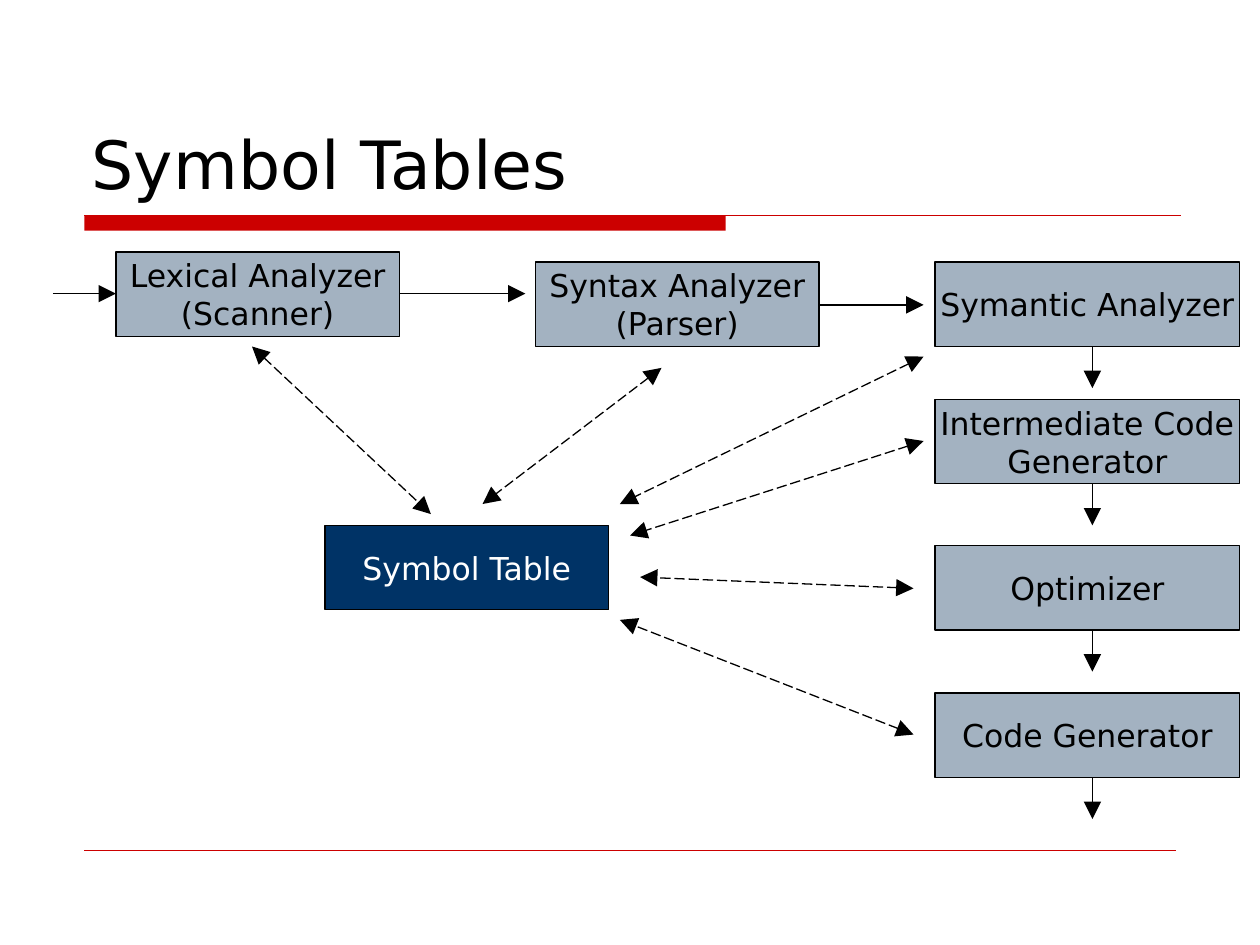
"""Build the Symbol Tables slide: compiler phases sharing one symbol table."""
from lxml.etree import SubElement
from pptx import Presentation
from pptx.dml.color import RGBColor
from pptx.enum.dml import MSO_LINE
from pptx.enum.shapes import MSO_CONNECTOR, MSO_SHAPE
from pptx.enum.text import MSO_ANCHOR, PP_ALIGN
from pptx.oxml.ns import qn
from pptx.util import Inches, Pt

TITLE = "Symbol Tables"
FONT = "DejaVu Sans"
BLACK, WHITE, RED, GREY, NAVY = "000000", "FFFFFF", "CC0000", "A3B2C1", "003366"
BOX_HEIGHT = 0.67
NARROW, WIDE = 2.25, 2.42
COLUMN_LEFT, COLUMN_ARROW, ARROW_LENGTH = 7.42, 8.67, 0.33

FRONT_PHASES = [
    (["Lexical Analyzer", "(Scanner)"], 0.92, 2),
    (["Syntax Analyzer", "(Parser)"], 4.25, 2.08),
]
COLUMN_PHASES = [
    (["Symantic Analyzer"], 2.08),
    (["Intermediate Code", "Generator"], 3.17),
    (["Optimizer"], 4.33),
    (["Code Generator"], 5.5),
]
SYMBOL_TABLE = (["Symbol Table"], 2.58, 4.17)
FLOW_ARROWS = [
    ((0.42, 2.33), (0.92, 2.33)),
    ((3.17, 2.33), (4.17, 2.33)),
    ((6.5, 2.42), (7.33, 2.42)),
]
LOOKUP_ARROWS = [
    ((2, 2.75), (3.42, 4.08)),
    ((5.25, 2.92), (3.83, 4)),
    ((7.33, 2.83), (4.92, 4)),
    ((7.33, 3.5), (5, 4.25)),
    ((7.25, 4.67), (5.08, 4.58)),
    ((7.25, 5.83), (4.92, 4.92)),
]


def color(hex_string):
    return RGBColor.from_string(hex_string)


def write_lines(shape, lines, size, hex_string, alignment, anchor, wrap):
    frame = shape.text_frame
    frame.word_wrap = wrap
    frame.vertical_anchor = anchor
    for index, line in enumerate(lines):
        paragraph = frame.add_paragraph() if index else frame.paragraphs[0]
        paragraph.alignment = alignment
        run = paragraph.add_run()
        run.text = line
        run.font.name = FONT
        run.font.size = Pt(size)
        run.font.color.rgb = color(hex_string)


def add_rectangle(slide, left, top, width, height, fill):
    shape = slide.shapes.add_shape(
        MSO_SHAPE.RECTANGLE, Inches(left), Inches(top), Inches(width), Inches(height))
    shape.shadow.inherit = False
    shape.fill.solid()
    shape.fill.fore_color.rgb = color(fill)
    shape.line.fill.background()
    return shape


def add_box(slide, lines, left, top, width, fill=GREY, text_color=BLACK):
    box = add_rectangle(slide, left, top, width, BOX_HEIGHT, fill)
    box.line.color.rgb = color(BLACK)
    box.line.width = Pt(0.75)
    write_lines(box, lines, 18, text_color, PP_ALIGN.CENTER, MSO_ANCHOR.MIDDLE, False)


def add_line(slide, start, end, hex_string=BLACK, width=0.75, arrowheads=(), dashed=False):
    points = [Inches(value) for value in (*start, *end)]
    connector = slide.shapes.add_connector(MSO_CONNECTOR.STRAIGHT, *points)
    connector.line.color.rgb = color(hex_string)
    connector.line.width = Pt(width)
    if dashed:
        connector.line.dash_style = MSO_LINE.LONG_DASH
    properties = connector.line._get_or_add_ln()
    for arrowhead in arrowheads:
        SubElement(properties, qn(f"a:{arrowhead}"), type="triangle", w="lg", len="lg")
    SubElement(connector._element.spPr, qn("a:effectLst"))


def main():
    presentation = Presentation()
    presentation.slide_width, presentation.slide_height = Inches(10), Inches(7.5)
    slide = presentation.slides.add_slide(presentation.slide_layouts[6])

    add_rectangle(slide, 0.67, 1.71, 5.09, 0.12, RED)
    add_line(slide, (0.67, 1.71), (9.37, 1.71), RED)
    add_line(slide, (0.67, 6.75), (9.33, 6.75), RED, 0.25)
    title = slide.shapes.add_textbox(Inches(0.63), Inches(0.33), Inches(8.75), Inches(1.33))
    write_lines(title, [TITLE], 38, BLACK, PP_ALIGN.LEFT, MSO_ANCHOR.BOTTOM, True)

    for lines, left, top in FRONT_PHASES:
        add_box(slide, lines, left, top, NARROW)
    for lines, top in COLUMN_PHASES:
        add_box(slide, lines, COLUMN_LEFT, top, WIDE)
        bottom = top + BOX_HEIGHT
        add_line(slide, (COLUMN_ARROW, bottom), (COLUMN_ARROW, bottom + ARROW_LENGTH),
                 arrowheads=["tailEnd"])
    add_box(slide, *SYMBOL_TABLE, NARROW, NAVY, WHITE)

    for start, end in FLOW_ARROWS:
        add_line(slide, start, end, arrowheads=["tailEnd"])
    for start, end in LOOKUP_ARROWS:
        add_line(slide, start, end, arrowheads=["headEnd", "tailEnd"], dashed=True)

    presentation.save("out.pptx")


if __name__ == "__main__":
    main()
